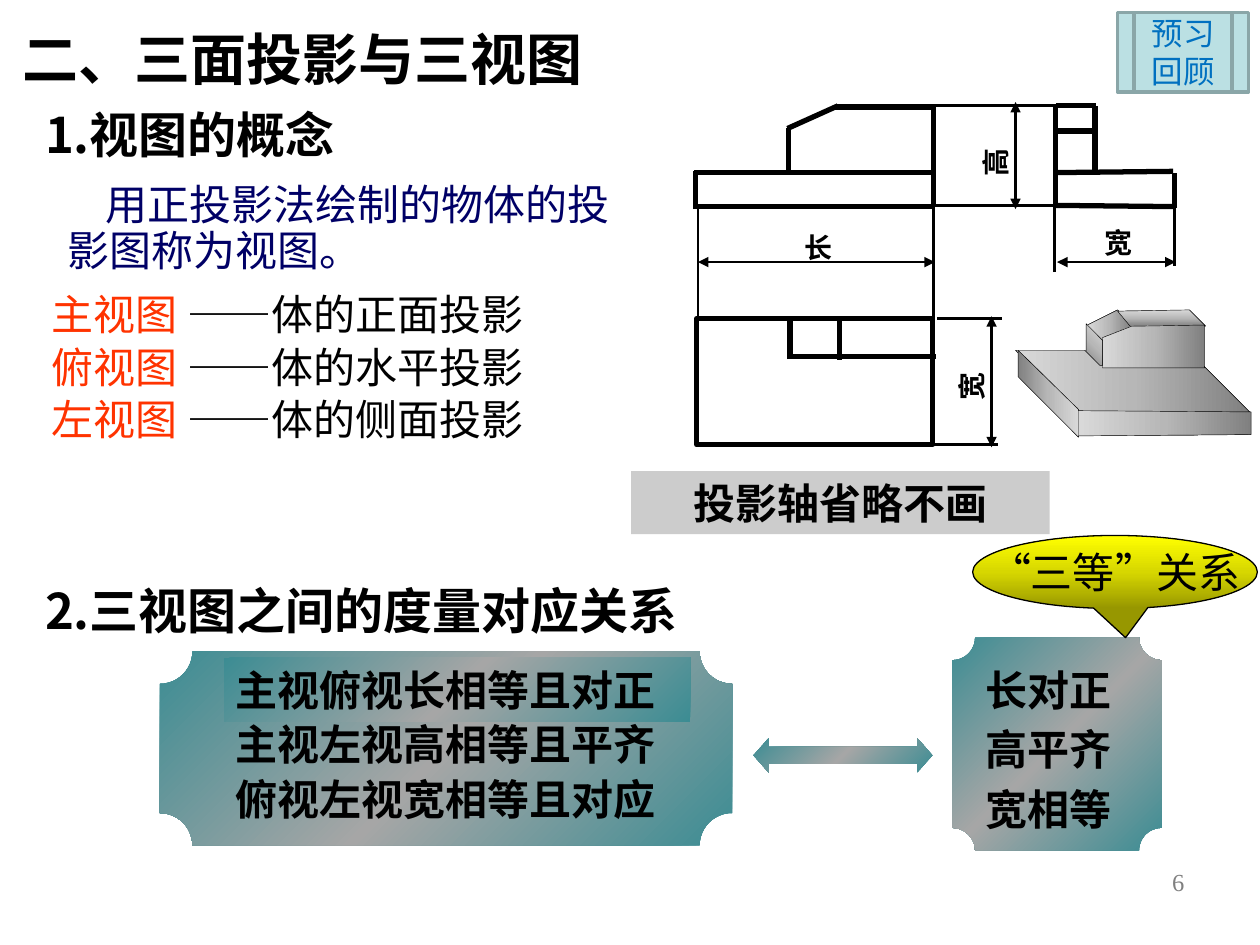
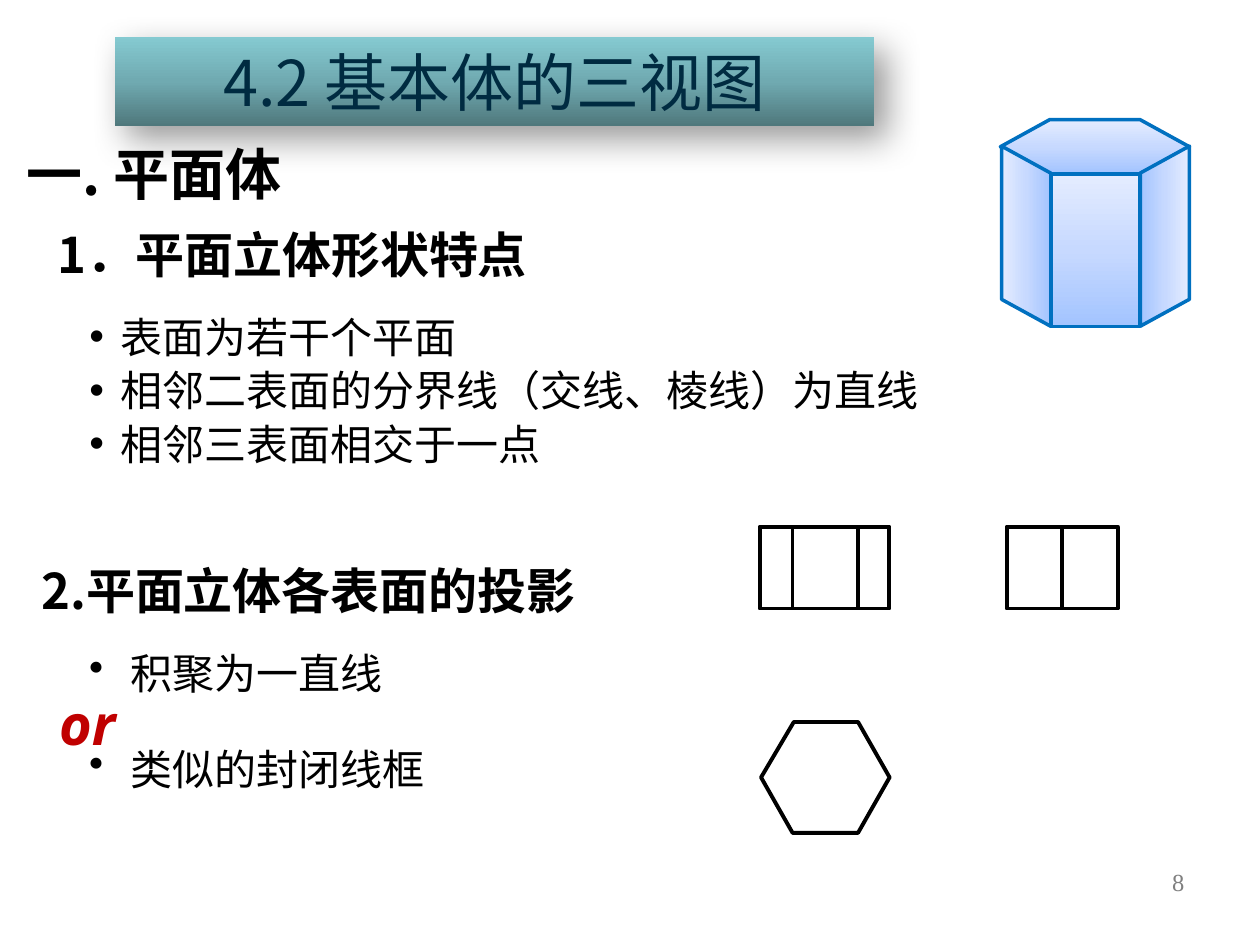
from copy import deepcopy

from lxml import etree
from pptx import Presentation
from pptx import util as u
from pptx.dml.color import RGBColor
from pptx.enum import shapes, text
from pptx.oxml.ns import qn

CJK, SERIF, LATIN = "Noto Sans CJK SC", "Times New Roman", "Open Sans"
BLACK, RED, NAVY, BLUE, GREY = "000000", "FF3300", "000066", "0070C0", "808080"
TEAL = ("3C8C93", "A6A6A6", "3C8C93")
YELLOW = ("979700", "D7D700", "FFFF00")
BANNER = ("4F787C", "70AAB1", "85CAD1")
STEEL = ("808080", "B7B7B7", "D9D9D9")
GLASS = ("A3C4FF", "C7D9FF", "E4ECFF")
PRESET, ALIGN = shapes.MSO_SHAPE, text.PP_ALIGN
TOP, MIDDLE = text.MSO_ANCHOR.TOP, text.MSO_ANCHOR.MIDDLE

# Slide 6: views and their relations
VIEWS = [("主视图 ", "——体的正面投影"), ("俯视图 ", "——体的水平投影"),
         ("左视图 ", "——体的侧面投影")]
RELATIONS = ["主视俯视长相等且对正", "主视左视高相等且平齐", "俯视左视宽相等且对应"]
RULES = ["长对正", "高平齐", "宽相等"]
FRONT_VIEW = [(7.4, 1.64, 5.53, 1.64), (5.52, 1.66, 5.52, 1.36), (7.41, 1.64, 7.41, 0.83),
              (7.41, 0.85, 6.63, 0.85), (6.26, 1.38, 6.26, 1.02), (6.25, 1.02, 6.65, 0.84),
              (5.51, 1.37, 7.42, 1.37)]
TOP_VIEW = [(6.26, 2.83, 7.43, 2.83), (6.27, 2.85, 6.27, 2.53), (6.66, 2.53, 6.66, 2.86)]
LEFT_VIEW = [(8.38, 1.65, 8.38, 0.84), (9.32, 1.65, 9.32, 1.37), (8.39, 1.37, 9.31, 1.36),
             (8.37, 1.63, 9.33, 1.64), (8.38, 0.84, 8.7, 0.84), (8.37, 1.04, 8.7, 1.04),
             (8.69, 0.84, 8.69, 1.36)]
EXTENSIONS = [(5.54, 1.64, 5.54, 2.61), (7.41, 1.6, 7.41, 2.57), (7.43, 1.63, 8.36, 1.63),
              (7.4, 0.84, 8.38, 0.84), (7.44, 2.53, 7.95, 2.53), (7.4, 3.53, 7.92, 3.53),
              (8.37, 2.16, 8.37, 1.62), (9.32, 2.11, 9.32, 1.61)]
DIMENSIONS = [(5.54, 2.08, 7.42, 2.08), (8.06, 0.81, 8.06, 1.66),
              (7.87, 2.51, 7.87, 3.55), (8.39, 2.08, 9.33, 2.08)]
DIMENSION_LABELS = [("长", (6.29, 1.78, 0.42, 0.37), 0), ("高", (7.69, 1.1, 0.43, 0.37), 270),
                    ("宽", (7.35, 2.73, 0.72, 0.37), 270), ("宽", (8.67, 1.74, 0.59, 0.37), 0)]
SOLID_FACES = [  # gradient angle, corners
    (315, [(8.62, 2.57), (8.62, 2.79), (8.75, 2.92), (8.75, 2.7)]),
    (180, [(8.63, 2.58), (8.87, 2.46), (8.98, 2.59), (8.75, 2.7)]),
    (270, [(8.87, 2.47), (9.44, 2.46), (9.57, 2.59), (8.97, 2.59)]),
    (180, [(8.61, 2.78), (8.73, 2.9), (9.56, 2.91), (9.92, 3.27), (8.55, 3.27), (8.06, 2.78)]),
    (180, [(8.75, 2.68), (8.75, 2.92), (9.56, 2.92), (9.56, 2.58), (8.98, 2.59)]),
    (0, [(8.08, 2.78), (8.08, 2.99), (8.56, 3.47), (8.56, 3.25)]),
    (180, [(8.56, 3.26), (9.93, 3.27), (9.93, 3.45), (8.56, 3.46)])]

# Slide 8: plane solids
FEATURES = ["表面为若干个平面", "相邻二表面的分界线（交线、棱线）为直线", "相邻三表面相交于一点"]
PROJECTIONS = [("积聚为一直线", 5.09), ("类似的封闭线框", 5.85)]
HEXAGON = [(6.04, 6.17), (6.3, 5.73), (6.81, 5.73), (7.06, 6.17), (6.81, 6.61), (6.29, 6.61)]
PRISM_VIEWS = [(6.03, 4.18, 1.03, 0.65), (7.99, 4.18, 0.88, 0.65)]
PRISM_EDGES = [6.29, 6.81, 8.43]


def rgb(color):
    return RGBColor.from_string(color)


def inches(*lengths):
    return [u.Inches(length) for length in lengths]


def child(parent, tag, **attributes):
    return etree.SubElement(parent, qn(tag), attributes)


def paint(shape, fill=None, angle=0, line=None, width=1.0):
    """Fill with a hex colour, or with three gradient stops at an angle."""
    if isinstance(fill, tuple):
        shape.fill.gradient()
        shape.fill.gradient_angle = (360 - angle) % 360
        stop_list = shape._element.spPr.find(".//" + qn("a:gsLst"))
        stop_list.append(deepcopy(stop_list[0]))
        for stop, position, color in zip(shape.fill.gradient_stops, (0, 0.5, 1), fill):
            stop.position = position
            stop.color.rgb = rgb(color)
    elif fill:
        shape.fill.solid()
        shape.fill.fore_color.rgb = rgb(fill)
    else:
        shape.fill.background()
    if line:
        shape.line.color.rgb = rgb(line)
        shape.line.width = u.Pt(width)
    else:
        shape.line.fill.background()


def style(para, size=24, color=BLACK, bold=False, font=CJK, align=ALIGN.LEFT, italic=False):
    para.alignment = align
    para.space_before = u.Pt(0)
    para.font.name = font
    para.font.size = u.Pt(size)
    para.font.bold = bold
    para.font.italic = italic
    para.font.color.rgb = rgb(color)
    child(para._p.pPr.find(qn("a:defRPr")), "a:ea", typeface=font)


def indent(para, margin, first, bullet=None):
    """Set left margin and first-line offset in inches, and the bullet."""
    properties = para._p.pPr
    properties.set("marL", str(u.Inches(margin)))
    properties.set("indent", str(u.Inches(first)))
    mark = etree.Element(qn("a:buChar" if bullet else "a:buNone"))
    if bullet:
        mark.set("char", bullet)
    properties.find(qn("a:defRPr")).addprevious(mark)


def write(shape, words, anchor=TOP, wrap=True, **look):
    frame = shape.text_frame
    frame.word_wrap = wrap
    frame.auto_size = text.MSO_AUTO_SIZE.NONE
    frame.vertical_anchor = anchor
    para = frame.paragraphs[0]
    para.add_run().text = words
    style(para, **look)
    return para


def place(shape, at):
    shape.left, shape.top, shape.width, shape.height = inches(*at)


def add_text(slide, words, at, rotation=0, **look):
    box = slide.shapes.add_textbox(*inches(*at))
    box.rotation = rotation
    return write(box, words, **look)


def add_preset(slide, preset, at, adjustments=(), **look):
    shape = slide.shapes.add_shape(preset, *inches(*at))
    shape.shadow.inherit = False
    for index, value in enumerate(adjustments):
        shape.adjustments[index] = value
    paint(shape, **look)
    return shape


def add_polygon(slide, corners, **look):
    points = [inches(*corner) for corner in corners]
    builder = slide.shapes.build_freeform(*points[0])
    builder.add_line_segments(points[1:], close=True)
    shape = builder.convert_to_shape()
    shape.shadow.inherit = False
    paint(shape, **look)


def add_lines(slide, lines, width, arrows=False):
    for ends in lines:
        line = slide.shapes.add_connector(shapes.MSO_CONNECTOR.STRAIGHT, *inches(*ends))
        line.line.color.rgb = rgb(BLACK)
        line.line.width = u.Pt(width)
        if arrows:
            for tag in ("a:headEnd", "a:tailEnd"):
                child(line.line._get_or_add_ln(), tag, type="triangle")
        child(line._element.spPr, "a:effectLst")


def add_slide(deck, number, title, title_at, body_at, **title_look):
    slide = deck.slides.add_slide(deck.slide_layouts[1])
    heading, body = slide.placeholders
    place(heading, title_at)
    write(heading, title, anchor=MIDDLE, **title_look)
    place(body, body_at)
    body.text_frame.auto_size = text.MSO_AUTO_SIZE.NONE
    add_text(slide, number, (7.17, 6.83, 2.33, 0.52), size=14, color=GREY, font=SERIF,
             align=ALIGN.RIGHT)
    return slide, heading, body.text_frame


def body_lines(frame, count):
    return [frame.paragraphs[0]] + [frame.add_paragraph() for _ in range(count - 1)]


def add_three_views(slide):
    add_lines(slide, EXTENSIONS, 1.5)
    add_lines(slide, DIMENSIONS, 1.5, arrows=True)
    for label, at, rotation in DIMENSION_LABELS:
        add_text(slide, label, at, rotation, size=16, bold=True)
    add_preset(slide, PRESET.RECTANGLE, (5.53, 2.53, 1.87, 1), line=BLACK, width=3)
    add_lines(slide, FRONT_VIEW + TOP_VIEW + LEFT_VIEW, 3)
    for angle, corners in SOLID_FACES:
        add_polygon(slide, corners, fill=STEEL, angle=angle, line=BLACK, width=0.25)


def add_relations(slide):
    add_preset(slide, PRESET.PLAQUE, (1.27, 5.17, 4.54, 1.54), [0.167], fill=TEAL, angle=45)
    add_preset(slide, PRESET.RECTANGLE, (1.78, 5.22, 3.7, 0.51), fill=TEAL, angle=45)
    add_preset(slide, PRESET.PLAQUE, (7.56, 5.06, 1.66, 1.69), [0.108], fill=TEAL, angle=45)
    add_preset(slide, PRESET.LEFT_RIGHT_ARROW, (5.98, 5.86, 1.42, 0.27), [0.5, 0.443],
               fill=TEAL, angle=45)
    for row, (relation, rule) in enumerate(zip(RELATIONS, RULES)):
        add_text(slide, relation, (1.77, 5.22 + 0.43 * row, 4.5, 0.51), anchor=MIDDLE, bold=True)
        add_text(slide, rule, (7.71, 5.22 + 0.47 * row, 1.22, 0.51), anchor=MIDDLE, bold=True,
                 wrap=False, align=ALIGN.CENTER)


def build_views_slide(deck):
    slide, _, body = add_slide(deck, "6", "二、三面投影与三视图", (0.08, 0.17, 8.5, 0.58),
                               (0.31, 2.24, 5.3, 1.5), size=32, bold=True)
    for para, (view, meaning) in zip(body_lines(body, len(VIEWS)), VIEWS):
        style(para)
        indent(para, 0, 0)
        para.space_after = u.Pt(1.25)
        name = para.add_run()
        name.text = view
        name.font.color.rgb = rgb(RED)
        para.add_run().text = meaning
    add_text(slide, "1.视图的概念", (0.26, 0.78, 3.82, 0.57), size=28, bold=True)
    definition = add_text(slide, "用正投影法绘制的物体的投影图称为视图。",
                          (0.44, 1.41, 4.73, 0.83), anchor=MIDDLE, color=NAVY)
    definition.line_spacing = 0.9
    indent(definition, 0, 0.3)
    add_text(slide, "2.三视图之间的度量对应关系", (0.26, 4.56, 6.82, 0.57), size=28, bold=True)
    add_three_views(slide)
    note = add_preset(slide, PRESET.RECTANGLE, (5.01, 3.74, 3.32, 0.5), fill="CCCCCC")
    write(note, "投影轴省略不画", anchor=MIDDLE, bold=True, align=ALIGN.CENTER)
    add_relations(slide)
    callout = add_preset(slide, PRESET.OVAL_CALLOUT, (7.72, 4.25, 2.26, 0.58), [0.037, 0.898],
                         fill=YELLOW, angle=270, line=BLACK, width=0.75)
    write(callout, "“三等”关系", anchor=MIDDLE, wrap=False, align=ALIGN.CENTER)
    review = add_preset(slide, PRESET.FLOWCHART_PREDEFINED_PROCESS, (8.87, 0.1, 1.04, 0.63),
                        fill="BBE0E3", line="8AA6A8", width=2)
    write(review, "预习回顾", anchor=MIDDLE, size=18, color=BLUE, align=ALIGN.CENTER)


def add_banner_shadow(banner):
    effects = child(banner._element.spPr, "a:effectLst")
    shadow = child(effects, "a:outerShdw", blurRad=str(u.Pt(20)), dist=str(u.Pt(10)),
                   dir=str(45 * 60000), algn="tl", rotWithShape="0")
    child(child(shadow, "a:srgbClr", val=BLACK), "a:alpha", val="40000")


def add_prism(slide):
    look = dict(fill=GLASS, angle=270, line=BLUE, width=2)
    add_preset(slide, PRESET.HEXAGON, (7.94, 0.95, 1.5, 0.43), [0.91], **look)
    add_preset(slide, PRESET.RECTANGLE, (8.34, 1.38, 0.71, 1.21), **look)
    for left in (7.43, 8.53):
        face = add_preset(slide, PRESET.PARALLELOGRAM, (left, 1.68, 1.43, 0.39), [0.548], **look)
        face.rotation = 270
    face._element.spPr.find(qn("a:xfrm")).set("flipV", "1")


def build_solids_slide(deck):
    slide, banner, body = add_slide(deck, "8", "4.2 基本体的三视图", (0.91, 0.29, 6.03, 0.71),
                                    (0.36, 2.42, 8.53, 1.55), size=36, color="002B41",
                                    align=ALIGN.CENTER)
    paint(banner, fill=BANNER, angle=270)
    add_banner_shadow(banner)
    for para, feature in zip(body_lines(body, len(FEATURES)), FEATURES):
        para.add_run().text = feature
        style(para)
        indent(para, 0.5, -0.25, "•")
        para.space_after = u.Pt(1.75)
    add_text(slide, "一. 平面体", (0.11, 1.06, 4.5, 0.64), size=32, bold=True)
    add_text(slide, "1．平面立体形状特点", (0.36, 1.73, 4.5, 0.57), size=28, bold=True)
    add_text(slide, "2.平面立体各表面的投影", (0.23, 4.4, 5.84, 0.57), size=28, bold=True)
    for projection, top in PROJECTIONS:
        indent(add_text(slide, projection, (0.36, top, 4, 0.5)), 0.58, -0.33, "•")
    add_text(slide, "or", (0.37, 5.42, 0.72, 0.64), size=32, color="C00000", bold=True,
             font=LATIN, italic=True)
    add_polygon(slide, HEXAGON, line=BLACK, width=2.25)
    for at in PRISM_VIEWS:
        add_preset(slide, PRESET.RECTANGLE, at, line=BLACK, width=2.25)
    add_lines(slide, [(x, 4.83, x, 4.18) for x in PRISM_EDGES], 2.25)
    add_prism(slide)


def main():
    deck = Presentation()
    deck.slide_width, deck.slide_height = inches(10, 7.5)
    build_views_slide(deck)
    build_solids_slide(deck)
    deck.save("out.pptx")


if __name__ == "__main__":
    main()
